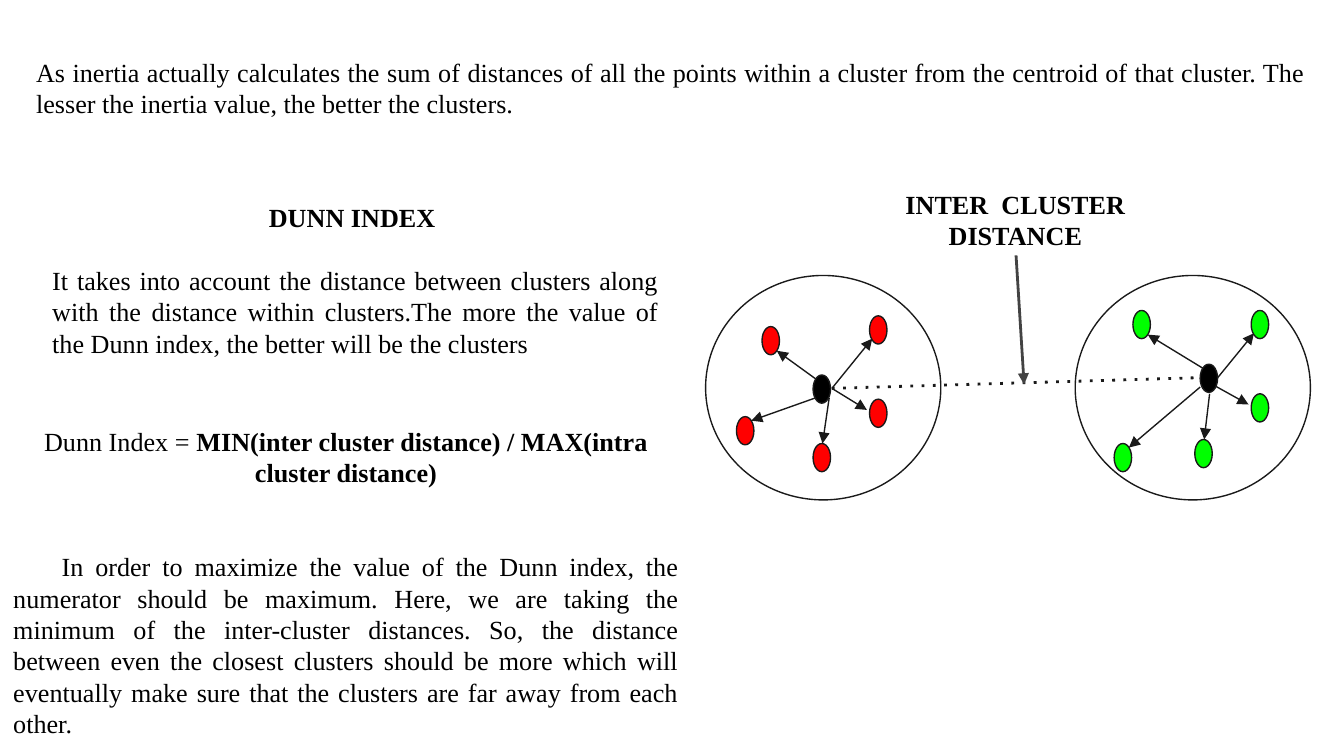
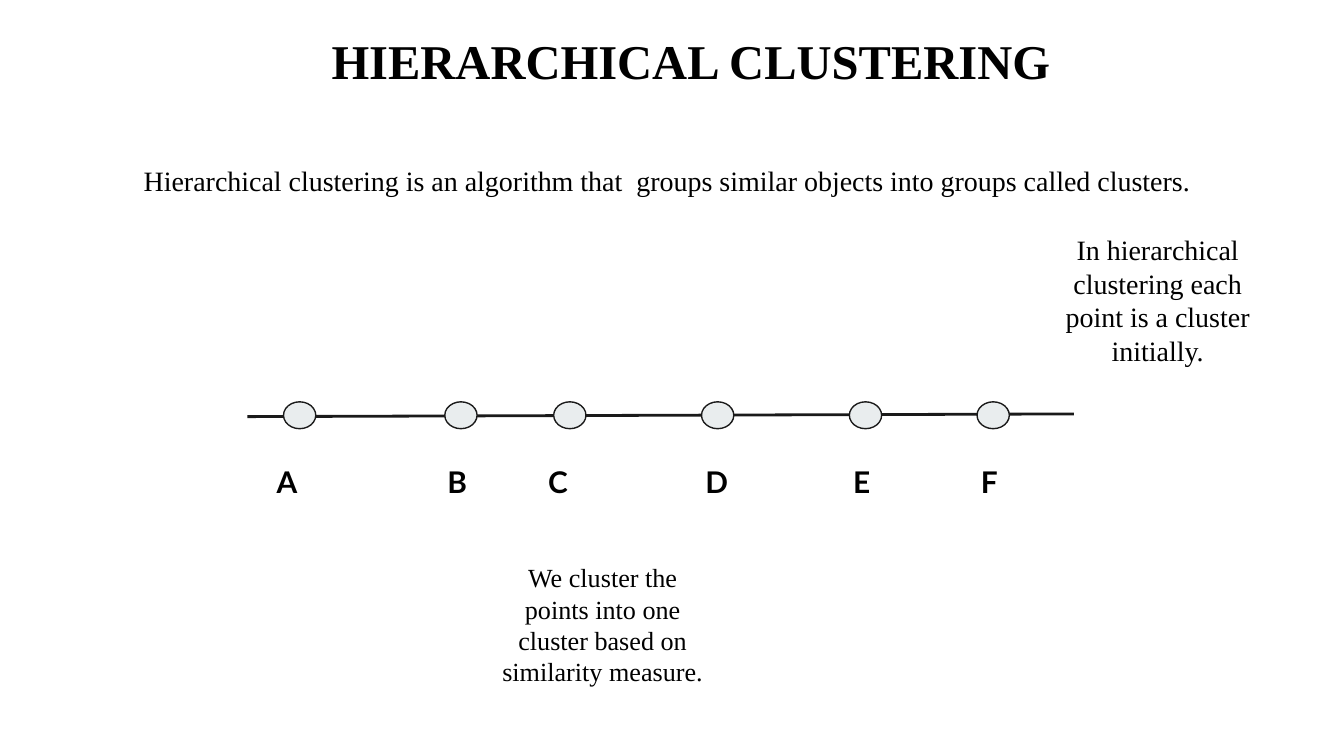
from lxml import etree
from pptx import Presentation
from pptx.dml.color import RGBColor
from pptx.enum.shapes import MSO_CONNECTOR, MSO_SHAPE
from pptx.enum.text import PP_ALIGN
from pptx.oxml.ns import qn
from pptx.util import Inches, Pt

COLORS = {
    "paper": "FFFFFF",
    "text": "000000",
    "outline": "1A1A1A",
    "pointer": "434343",
    "hub": "000000",
    "red": "FF0000",
    "green": "00FF00",
    "node": "E9EDEE",
}
SERIF, SANS = "Times New Roman", "Lato"
LINE_HEIGHT = 1.2
BODY = 14
LINE = BODY * LINE_HEIGHT
INSET = 0.1
LEFT, CENTER, JUSTIFY = PP_ALIGN.LEFT, PP_ALIGN.CENTER, PP_ALIGN.JUSTIFY

DOT_SIZE = (0.13, 0.21)
TIP_OFFSETS = [(0.11, 0.18), (0.02, 0.17), (0.11, 0.03), (0.07, 0), (-0.02, 0.08)]
RED_CLUSTER = {
    "color": "red",
    "hub": (0.8, 0.74),
    "points": [(0.42, 0.38), (1.22, 0.3), (0.23, 1.05), (0.8, 1.25), (1.22, 0.92)],
    "tails": [(0.82, 0.77), (0.94, 0.84), (0.82, 0.91), (0.92, 0.91), (0.94, 0.84)],
}
GREEN_CLUSTER = {
    "color": "green",
    "hub": (0.93, 0.66),
    "points": [(0.43, 0.26), (1.31, 0.26), (0.29, 1.25), (0.89, 1.22), (1.31, 0.88)],
    "tails": [(0.95, 0.69), (1.02, 0.81), (0.93, 0.83), (1, 0.88), (1.02, 0.81)],
}
NODES = [
    ("A", 0.27, 0.12),
    ("B", 1.47, 1.39),
    ("C", 2.28, 2.14),
    ("D", 3.38, 3.31),
    ("E", 4.48, 4.41),
    ("F", 5.43, 5.36),
]


def color(name):
    return RGBColor.from_string(COLORS[name])


def shifted(origin, offset):
    return origin[0] + offset[0], origin[1] + offset[1]


def add_text(page, box, paragraphs, size=BODY, font=SERIF, top_inset=INSET):
    frame = page.shapes.add_textbox(*map(Inches, box)).text_frame
    frame.word_wrap = True
    frame.margin_left = frame.margin_right = frame.margin_bottom = Inches(INSET)
    frame.margin_top = Inches(top_inset)
    for index, (spans, alignment, space_before, indent) in enumerate(paragraphs):
        paragraph = frame.add_paragraph() if index else frame.paragraphs[0]
        paragraph.alignment = alignment
        paragraph.line_spacing = Pt(size * LINE_HEIGHT)
        paragraph.space_before = Pt(space_before)
        if indent:
            paragraph._p.get_or_add_pPr().set("indent", str(Inches(indent)))
        paragraph.font.size = Pt(size)
        paragraph.font.name = font
        paragraph.font.color.rgb = color("text")
        for text, bold in spans:
            span = paragraph.add_run()
            span.text = text
            span.font.bold = bold


def write(text, alignment=CENTER, bold=False, space_before=0, indent=0):
    return [(text, bold)], alignment, space_before, indent


def add_ellipse(page, position, size, fill):
    shape = page.shapes.add_shape(MSO_SHAPE.OVAL, *map(Inches, (*position, *size)))
    shape.shadow.inherit = False
    shape.fill.solid()
    shape.fill.fore_color.rgb = color(fill)
    shape.line.color.rgb = color("outline")
    shape.line.width = Pt(0.75)


def add_line(page, start, end, width=0.75, stroke="outline", arrow=False, dotted=False):
    line = page.shapes.add_connector(
        MSO_CONNECTOR.STRAIGHT, *map(Inches, (*start, *end))
    )
    line.line.color.rgb = color(stroke)
    line.line.width = Pt(width)
    outline = line.line._get_or_add_ln()
    if dotted:
        etree.SubElement(outline, qn("a:prstDash"), val="dot")
    if arrow:
        etree.SubElement(outline, qn("a:tailEnd"), type="triangle")
    etree.SubElement(line._element.spPr, qn("a:effectLst"))


def add_cluster(page, box, cluster):
    origin = box[:2]
    add_ellipse(page, origin, box[2:], "paper")
    for point, tail, tip in zip(cluster["points"], cluster["tails"], TIP_OFFSETS):
        position = shifted(origin, point)
        add_ellipse(page, position, DOT_SIZE, cluster["color"])
        add_line(page, shifted(origin, tail), shifted(position, tip), arrow=True)
    add_ellipse(page, shifted(origin, cluster["hub"]), DOT_SIZE, "hub")


def add_distance_diagram(page, box):
    left, top, width, height = box
    cluster_top, cluster_width = top + 0.75, 1.75
    cluster_height = height - 0.75
    for cluster_left, cluster in (
        (left, RED_CLUSTER),
        (left + width - cluster_width, GREEN_CLUSTER),
    ):
        add_cluster(
            page, (cluster_left, cluster_top, cluster_width, cluster_height), cluster
        )
    origin = (left, top)
    add_line(page, shifted(origin, (0.94, 1.59)), shifted(origin, (3.68, 1.51)), 1.5,
             dotted=True)
    add_text(page, (left + 1.16, top, 2.29, 0.59),
             [write("INTER  CLUSTER DISTANCE", bold=True)])
    add_line(page, shifted(origin, (2.31, 0.6)), shifted(origin, (2.37, 1.56)), 1.5,
             "pointer", arrow=True)


def add_number_line(page, box):
    left, top, width, height = box
    add_line(page, (left, top + 0.11), (left + width, top + 0.09), 1.5)
    for name, node_left, label_left in NODES:
        add_ellipse(page, (left + node_left, top), (0.24, 0.2), "node")
        add_text(page, (left + label_left, top + 0.36, 0.38, height - 0.36),
                 [write(name, LEFT, bold=True)], 16, SANS)


def build_dunn_page(page):
    add_text(page, (0.29, 1.4, 4.71, 1.19), [
        write("DUNN INDEX ", bold=True),
        write("It takes into account the distance between clusters along with the "
              "distance within clusters.The more the value of the Dunn index, the better "
              "will be the clusters", JUSTIFY, space_before=LINE),
    ])
    add_text(page, (0.17, 0.32, 9.65, 0.85), [write(
        "As inertia actually calculates the sum of distances of all the points within a "
        "cluster from the centroid of that cluster. The lesser the inertia value, the "
        "better the clusters.", JUSTIFY)])
    add_distance_diagram(page, (5.25, 1.3, 4.5, 2.42))
    formula = [
        ("Dunn Index = ", False),
        ("MIN(inter cluster distance) / MAX(intra cluster distance)", True),
    ]
    add_text(page, (0, 2.83, 5.15, 2.37), [
        (formula, CENTER, 0, 0),
        write("In order to maximize the value of the Dunn index, the numerator should be "
              "maximum. Here, we are taking the minimum of the inter-cluster distances. "
              "So, the distance between even the closest clusters should be more which "
              "will eventually make sure that the clusters are far away from each other.",
              JUSTIFY, space_before=2 * LINE, indent=0.36),
    ], top_inset=INSET + LINE / 72)


def build_hierarchy_page(page):
    add_text(page, (1.68, 0.13, 6.93, 1.07),
             [write("HIERARCHICAL CLUSTERING", bold=True)], 26)
    add_text(page, (0.97, 1.12, 8.09, 0.76), [write(
        "Hierarchical clustering is an algorithm that  groups similar objects into "
        "groups called clusters. ", JUSTIFY)], 15)
    add_number_line(page, (1.84, 2.99, 6.15, 0.84))
    add_text(page, (7.75, 1.63, 1.73, 1.07), [write(
        "In hierarchical clustering each point is a cluster initially.")], 15)
    add_text(page, (3.62, 4.08, 1.73, 1.3), [write(
        "We cluster the points into one cluster based on similarity measure.")])


def main():
    deck = Presentation()
    deck.slide_width = Inches(10)
    deck.slide_height = deck.slide_width * 9 // 16
    for build in (build_dunn_page, build_hierarchy_page):
        page = deck.slides.add_slide(deck.slide_layouts[6])
        page.background.fill.solid()
        page.background.fill.fore_color.rgb = color("paper")
        build(page)
    deck.save("out.pptx")


if __name__ == "__main__":
    main()
